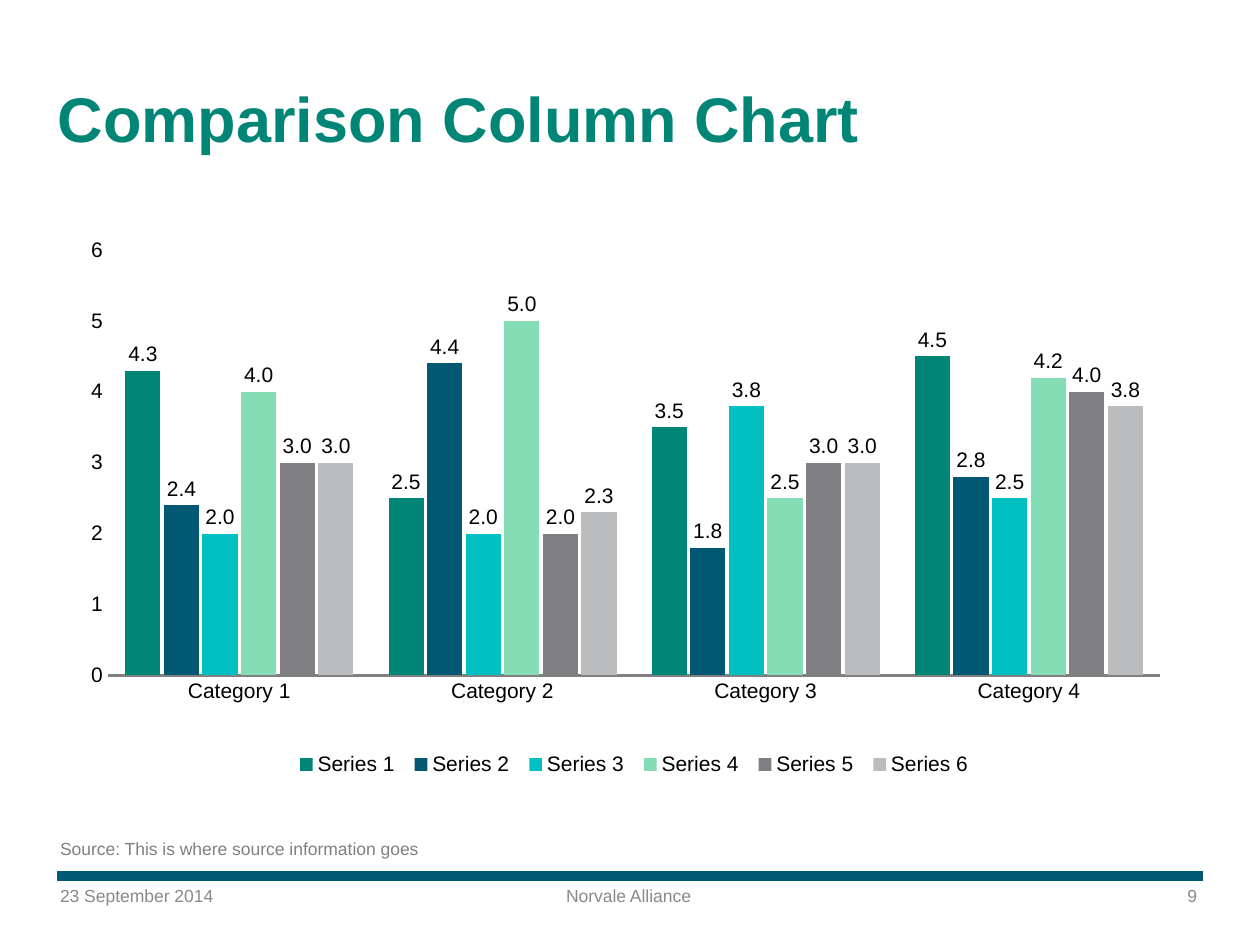
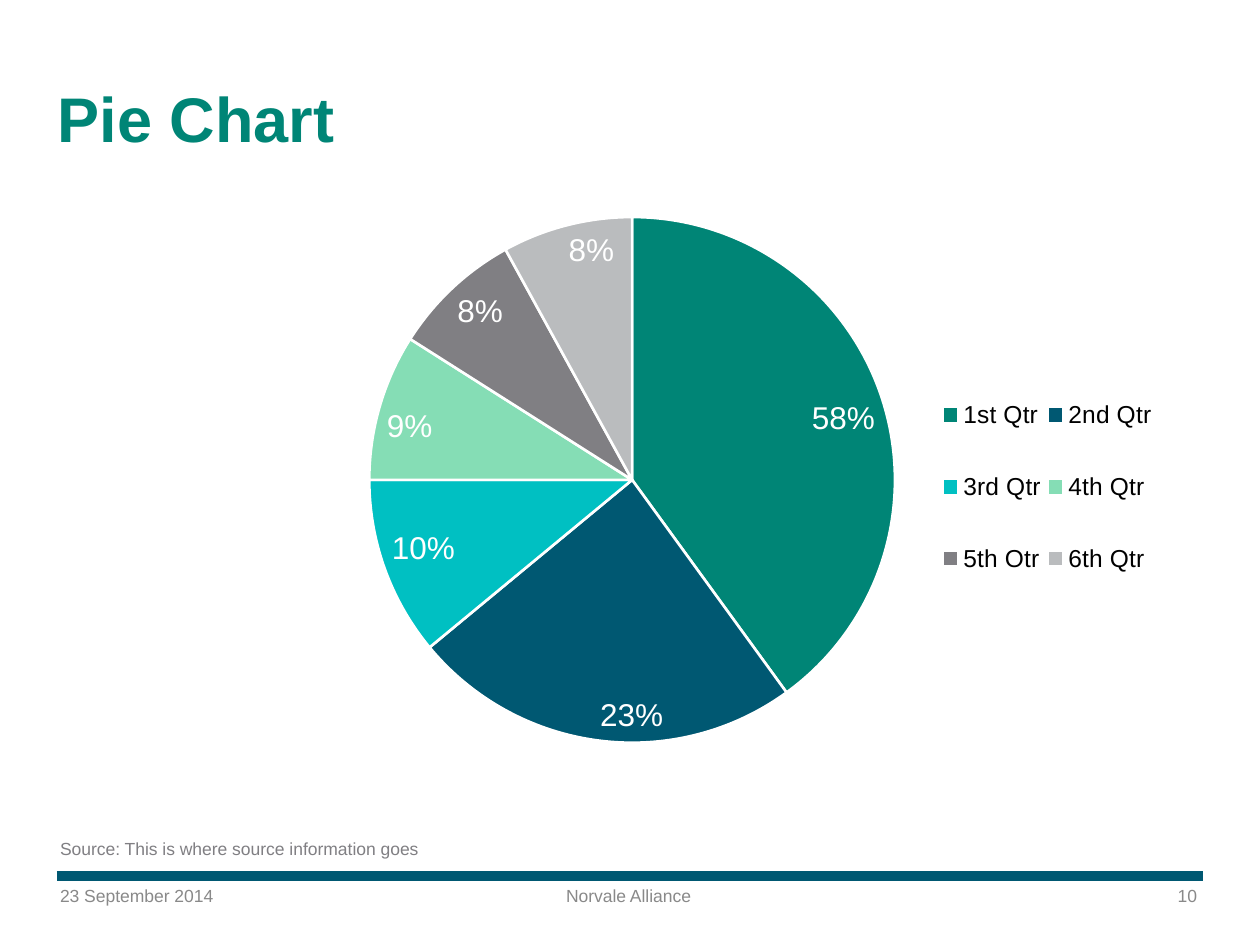
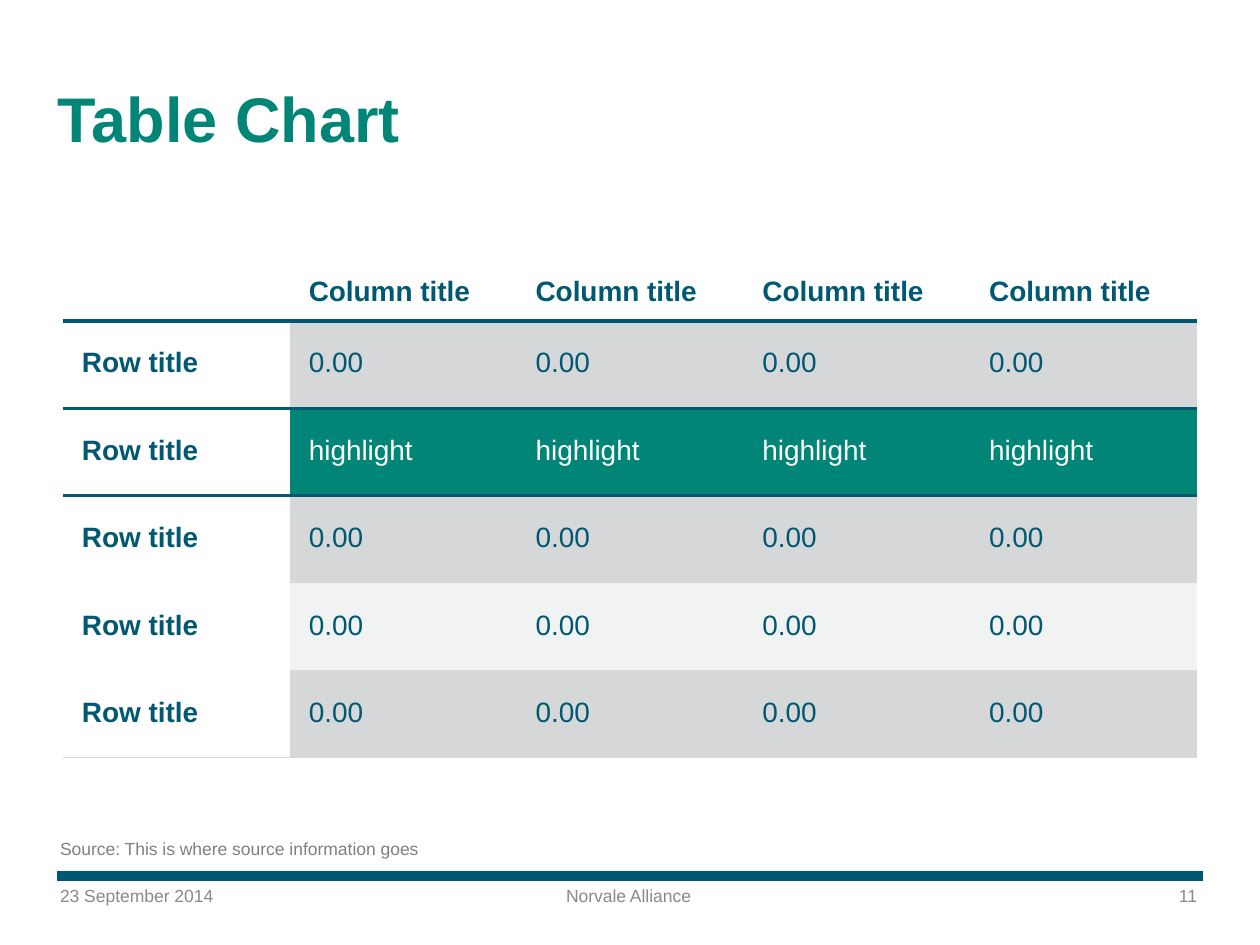
from lxml.etree import SubElement
from pptx import Presentation
from pptx.chart.data import CategoryChartData
from pptx.dml.color import RGBColor
from pptx.enum.chart import XL_CHART_TYPE as ChartType
from pptx.enum.chart import XL_LABEL_POSITION as LabelPosition
from pptx.enum.chart import XL_LEGEND_POSITION as LegendPosition
from pptx.enum.chart import XL_TICK_MARK as TickMark
from pptx.enum.shapes import MSO_CONNECTOR as Connector
from pptx.enum.text import MSO_ANCHOR as Anchor
from pptx.enum.text import MSO_AUTO_SIZE as AutoSize
from pptx.enum.text import PP_ALIGN as Align
from pptx.oxml.ns import qn
from pptx.util import Emu, Pt

FONT = "Arial"
GREEN, NAVY, WHITE, BLACK = "008576", "005872", "FFFFFF", "000000"
GRAY, FOOTER_GRAY, AXIS_GRAY = "807F83", "898989", "808080"
ROW_DARK, ROW_LIGHT = "D6D7D8", "F1F2F2"
SERIES_COLORS = [GREEN, NAVY, "00C0C2", "85DDB5", GRAY, "BABCBE"]
NO_TABLE_STYLE = "{2D5ABB26-0587-4C30-8999-92F81FD0307C}"

FIRST_NUMBER = 9
DATE = "23 September 2014"
ORGANIZATION = "Norvale Alliance"
SOURCE = "Source: This is where source information goes"

COLUMN_CATEGORIES = ["Category 1", "Category 2", "Category 3", "Category 4"]
COLUMN_SERIES = {
    "Series 1": [4.3, 2.5, 3.5, 4.5],
    "Series 2": [2.4, 4.4, 1.8, 2.8],
    "Series 3": [2, 2, 3.8, 2.5],
    "Series 4": [4, 5, 2.5, 4.2],
    "Series 5": [3, 2, 3, 4],
    "Series 6": [3, 2.3, 3, 3.8],
}
PIE_CATEGORIES = ["1st Qtr", "2nd Qtr", "3rd Qtr", "4th Qtr", "5th Otr", "6th Qtr"]
PIE_SERIES = {"Series 1": [40, 24, 11, 9, 8, 8]}
PIE_LABELS = ["58%", "23%", "10%", "9%"]

HEADER = [""] + ["Column title"] * 4
BODY_ROWS = [
    ("0.00", ROW_DARK, NAVY),
    ("highlight", GREEN, WHITE),
    ("0.00", ROW_DARK, NAVY),
    ("0.00", ROW_LIGHT, NAVY),
    ("0.00", ROW_DARK, NAVY),
]
ROW_EDGES = {1: (NAVY, 2.25), 2: (NAVY, 1.75), 6: (ROW_DARK, 1)}


def px(length):
    return Emu(round(length * 914400 / 126))


def box(*lengths):
    return [px(length) for length in lengths]


def color(value):
    return RGBColor.from_string(value)


def style_font(font, size, value, bold=False):
    font.name = FONT
    font.size = Pt(size)
    font.bold = bold
    font.color.rgb = color(value)


def set_margins(target, horizontal, vertical):
    target.margin_left = target.margin_right = px(horizontal)
    target.margin_top = target.margin_bottom = px(vertical)


def write(frame, text, size, value, bold=False, align=Align.LEFT, spacing=None):
    paragraph = frame.paragraphs[0]
    paragraph.alignment = align
    if spacing:
        paragraph.line_spacing = spacing
    run = paragraph.add_run()
    run.text = text
    style_font(run.font, size, value, bold)
    return paragraph


def add_note(slide, place, text, value, align=Align.LEFT):
    frame = slide.shapes.add_textbox(*box(*place)).text_frame
    frame.word_wrap = True
    frame.auto_size = AutoSize.SHAPE_TO_FIT_TEXT
    set_margins(frame, 6, 6)
    write(frame, text, 10, value, align=align)


def add_band(slide):
    band = slide.shapes.add_connector(Connector.STRAIGHT, *box(57, 876, 1203, 876))
    band.line.color.rgb = color(NAVY)
    band.line.width = Pt(5.5)
    SubElement(band._element.spPr, qn("a:effectLst"))


def add_base_slide(presentation, title, number):
    slide = presentation.slides.add_slide(presentation.slide_layouts[5])
    heading = slide.shapes.title
    heading.left, heading.top, heading.width, heading.height = box(52, 24, 1162, 139)
    frame = heading.text_frame
    frame.vertical_anchor = Anchor.BOTTOM
    frame.auto_size = AutoSize.NONE
    set_margins(frame, 6, 6)
    write(frame, title, 36, GREEN, bold=True, spacing=0.95)
    add_band(slide)
    footers = [(DATE, Align.LEFT), (ORGANIZATION, Align.CENTER), (str(number), Align.RIGHT)]
    for index, (text, align) in enumerate(footers):
        add_note(slide, (54 + 419 * index, 879, 311, 34), text, FOOTER_GRAY, align)
    add_note(slide, (54, 832, 459, 34), SOURCE, GRAY)
    return slide


def set_layout(parent, place, inner=False):
    layout = parent.find(qn("c:layout"))
    if layout is None:
        layout = parent.makeelement(qn("c:layout"))
        parent.insert(1 if parent.tag == qn("c:legend") else 0, layout)
    manual = SubElement(layout, qn("c:manualLayout"))
    entries = [("layoutTarget", "inner")] if inner else []
    entries += [("xMode", "edge"), ("yMode", "edge"), *zip("xywh", place)]
    for name, value in entries:
        SubElement(manual, qn(f"c:{name}")).set("val", str(value))


def add_chart(slide, kind, place, categories, series, size, plot_place, legend):
    data = CategoryChartData()
    data.categories = categories
    for name, values in series.items():
        data.add_series(name, values)
    chart = slide.shapes.add_chart(kind, *box(*place), data).chart
    style_font(chart.font, size, BLACK)
    chart.has_title = False
    set_layout(chart._chartSpace.chart.plotArea, plot_place, inner=True)
    position, legend_size, legend_place = legend
    chart.has_legend = True
    chart.legend.position = position
    chart.legend.include_in_layout = False
    style_font(chart.legend.font, legend_size, BLACK)
    set_layout(chart.legend._element, legend_place)
    return chart


def set_fill(target, value):
    target.format.fill.solid()
    target.format.fill.fore_color.rgb = color(value)


def fill_column_slide(slide):
    chart = add_chart(
        slide, ChartType.COLUMN_CLUSTERED, (63, 227, 1120, 575),
        COLUMN_CATEGORIES, COLUMN_SERIES, 12, (0.04, 0.04, 0.94, 0.74),
        (LegendPosition.BOTTOM, 12, (0.2, 0.91, 0.62, 0.05)),
    )
    for axis in (chart.category_axis, chart.value_axis):
        axis.major_tick_mark = axis.minor_tick_mark = TickMark.NONE
        axis.has_major_gridlines = False
    line = chart.category_axis.format.line
    line.color.rgb = color(AXIS_GRAY)
    line.width = Pt(1.75)
    values = chart.value_axis
    values.format.line.fill.background()
    values.minimum_scale, values.maximum_scale, values.major_unit = 0, 6, 1
    values.tick_labels.number_format = "General"
    values.tick_labels.number_format_is_linked = False

    plot = chart.plots[0]
    plot.gap_width, plot.overlap = 100, -10
    plot.vary_by_categories = False
    for series, value in zip(plot.series, SERIES_COLORS):
        set_fill(series, value)
        labels = series.data_labels
        labels.show_value = True
        labels.position = LabelPosition.OUTSIDE_END
        labels.number_format = "#,##0.0"
        labels.number_format_is_linked = False
        style_font(labels.font, 12, BLACK)


def fill_pie_slide(slide):
    chart = add_chart(
        slide, ChartType.PIE, (146, 175, 1013, 701),
        PIE_CATEGORIES, PIE_SERIES, 18, (0.22, 0.06, 0.52, 0.75),
        (LegendPosition.RIGHT, 14, (0.78, 0.26, 0.22, 0.37)),
    )
    plot = chart.plots[0]
    plot.vary_by_categories = True
    series = plot.series[0]
    for index, value in enumerate(SERIES_COLORS):
        point = series.points[index]
        set_fill(point, value)
        point.format.line.color.rgb = color(WHITE)
        point.format.line.width = Pt(1.5)
    labels = series.data_labels
    labels.show_value = False
    labels.show_percentage = True
    labels.number_format = "0%"
    labels.number_format_is_linked = False
    labels.position = LabelPosition.INSIDE_END
    style_font(labels.font, 18, WHITE)
    for index, text in enumerate(PIE_LABELS):
        label = series.points[index].data_label
        write(label.text_frame, text, 18, WHITE, align=Align.CENTER)
        label.position = LabelPosition.INSIDE_END


def add_edge(cell, side, edge):
    value, width = edge
    line = SubElement(cell._tc.get_or_add_tcPr(), qn(f"a:{side}"), w=str(Pt(width)))
    fill = SubElement(line, qn("a:solidFill"))
    SubElement(fill, qn("a:srgbClr"), val=value)


def format_cell(cell, row, text, value, bold, fill):
    for side, edge in (("lnT", ROW_EDGES.get(row)), ("lnB", ROW_EDGES.get(row + 1))):
        if edge:
            add_edge(cell, side, edge)
    set_margins(cell, 19, 13)
    cell.vertical_anchor = Anchor.MIDDLE if row else Anchor.BOTTOM
    if fill:
        cell.fill.solid()
        cell.fill.fore_color.rgb = color(fill)
    else:
        cell.fill.background()
    if text:
        paragraph = write(cell.text_frame, text, 16, value, bold, spacing=0.9 if row else 0.95)
        paragraph.space_after = Pt(3 if row else 0)


def fill_table_slide(slide):
    width, height, header_height = 1134, 500, 63
    row_count, column_count = len(BODY_ROWS) + 1, len(HEADER)
    frame = slide.shapes.add_table(row_count, column_count, *box(63, 257, width, height))
    table = frame.table
    table._tbl.tblPr.find(qn("a:tableStyleId")).text = NO_TABLE_STYLE
    table.horz_banding = False
    for column in table.columns:
        column.width = px(width / column_count)
    for index, row in enumerate(table.rows):
        row.height = px((height - header_height) / len(BODY_ROWS) if index else header_height)

    for column, text in enumerate(HEADER):
        format_cell(table.cell(0, column), 0, text, NAVY, True, None)
    for row, (text, fill, value) in enumerate(BODY_ROWS, 1):
        format_cell(table.cell(row, 0), row, "Row title", NAVY, True, None)
        for column in range(1, column_count):
            format_cell(table.cell(row, column), row, text, value, False, fill)


SLIDES = [
    ("Comparison Column Chart", fill_column_slide),
    ("Pie Chart", fill_pie_slide),
    ("Table Chart", fill_table_slide),
]


def main():
    presentation = Presentation()
    presentation.slide_width, presentation.slide_height = box(1260, 945)
    for number, (title, fill_slide) in enumerate(SLIDES, FIRST_NUMBER):
        fill_slide(add_base_slide(presentation, title, number))
    presentation.save("out.pptx")


if __name__ == "__main__":
    main()
